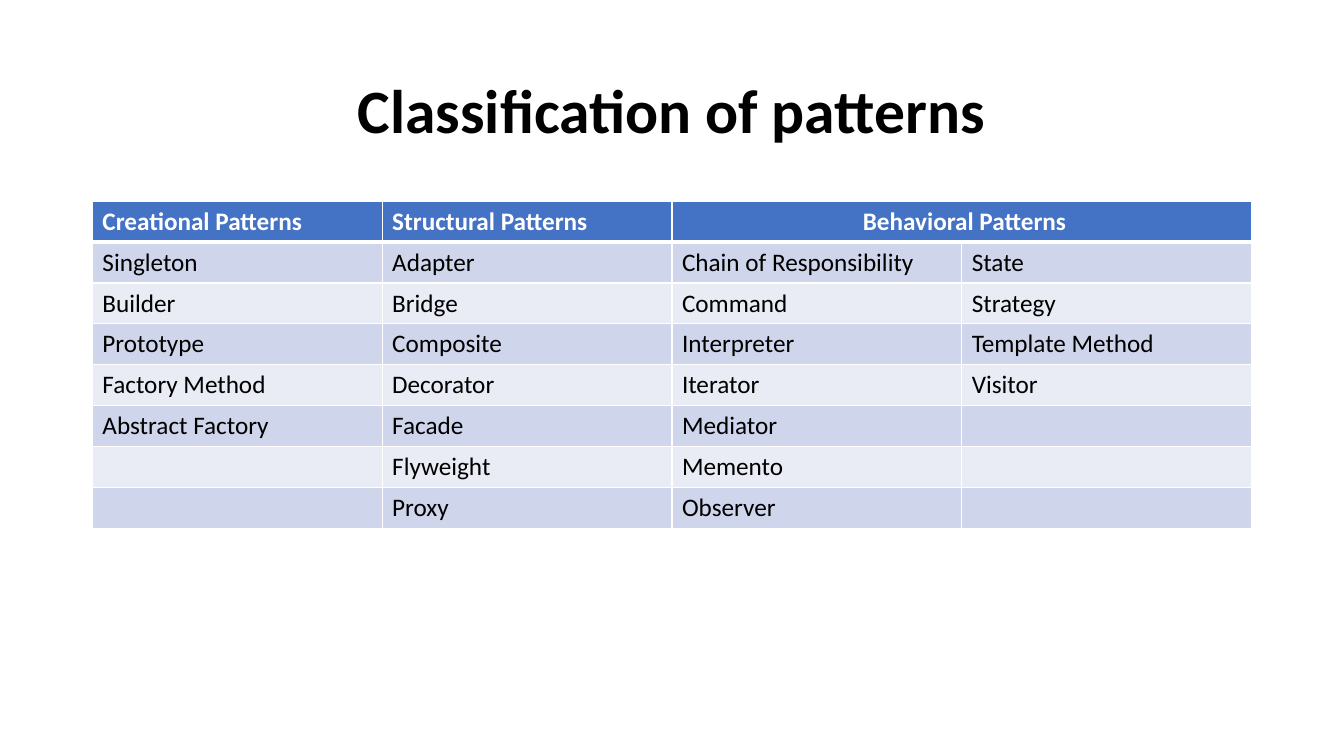
from itertools import zip_longest

from lxml import etree
from pptx import Presentation
from pptx.dml.color import RGBColor
from pptx.enum import text
from pptx.oxml.ns import qn
from pptx.util import Pt

TITLE = "Classification of patterns"
HEADERS = ["Creational Patterns", "Structural Patterns", " Behavioral Patterns", ""]
PATTERNS = [
    ["Singleton", "Builder", "Prototype", "Factory Method", "Abstract Factory"],
    ["Adapter", "Bridge", "Composite", "Decorator", "Facade", "Flyweight", "Proxy"],
    ["Chain of Responsibility", "Command", "Interpreter", "Iterator", "Mediator",
     "Memento", "Observer"],
    ["State", "Strategy", "Template Method", "Visitor"],
]
THEME = {
    "font": "Calibri", "title_size": 44, "cell_size": 18,
    "ink": "000000", "header_ink": "FFFFFF", "header": "4472C4",
    "bands": ["CFD5EA", "E9EBF5"],
    "border": "FFFFFF", "thin": 1, "thick": 3,
}
SLIDE = (960, 540)
LEFT, WIDTH = 66, 828
TITLE_TOP, TITLE_HEIGHT = 28.75, 104.4
TABLE_TOP, ROW_HEIGHT = 143.75, 29.2


def write(p, words, size, color, bold, align):
    p.alignment = align
    r = p.add_run()
    r.text = words
    fmt = {"name": THEME["font"], "size": Pt(size), "bold": bold}
    for name, value in fmt.items():
        setattr(r.font, name, value)
    r.font.color.rgb = RGBColor.from_string(color)


def add_borders(cell, top, bottom):
    """Draw all four edges; the widths of top and bottom are given in points."""
    tc_pr = cell._tc.get_or_add_tcPr()
    edges = {"lnL": THEME["thin"], "lnR": THEME["thin"], "lnT": top, "lnB": bottom}
    for tag, width in edges.items():
        ln = etree.SubElement(tc_pr, qn(f"a:{tag}"), w=str(Pt(width)))
        fill = etree.SubElement(ln, qn("a:solidFill"))
        etree.SubElement(fill, qn("a:srgbClr"), val=THEME["border"])


def add_title(slide):
    sp = slide.shapes.add_textbox(Pt(LEFT), Pt(TITLE_TOP), Pt(WIDTH), Pt(TITLE_HEIGHT))
    tf = sp.text_frame
    tf.word_wrap = True
    tf.vertical_anchor = text.MSO_ANCHOR.MIDDLE
    p = tf.paragraphs[0]
    p.line_spacing = 0.9
    write(p, TITLE, THEME["title_size"], THEME["ink"], True, text.PP_ALIGN.CENTER)


def add_pattern_table(slide):
    rows = [HEADERS, *zip_longest(*PATTERNS, fillvalue="")]
    table = slide.shapes.add_table(
        len(rows), len(HEADERS), Pt(LEFT), Pt(TABLE_TOP),
        Pt(WIDTH), Pt(ROW_HEIGHT * len(rows))).table
    for i, row in enumerate(rows):
        header = i == 0
        fill = THEME["header"] if header else THEME["bands"][(i - 1) % 2]
        ink = THEME["header_ink"] if header else THEME["ink"]
        top = THEME["thick"] if i == 1 else THEME["thin"]
        bottom = THEME["thick"] if header else THEME["thin"]
        for j, words in enumerate(row):
            cell = table.cell(i, j)
            add_borders(cell, top, bottom)
            cell.fill.solid()
            cell.fill.fore_color.rgb = RGBColor.from_string(fill)
            p = cell.text_frame.paragraphs[0]
            if words:
                centred = header and j == 2
                align = text.PP_ALIGN.CENTER if centred else text.PP_ALIGN.LEFT
                write(p, words, THEME["cell_size"], ink, header, align)
            else:
                p.font.size = Pt(THEME["cell_size"])
    table.cell(0, 2).merge(table.cell(0, 3))


def main():
    prs = Presentation()
    prs.slide_width, prs.slide_height = map(Pt, SLIDE)
    slide = prs.slides.add_slide(prs.slide_layouts[6])
    add_title(slide)
    add_pattern_table(slide)
    prs.save("out.pptx")


if __name__ == "__main__":
    main()
